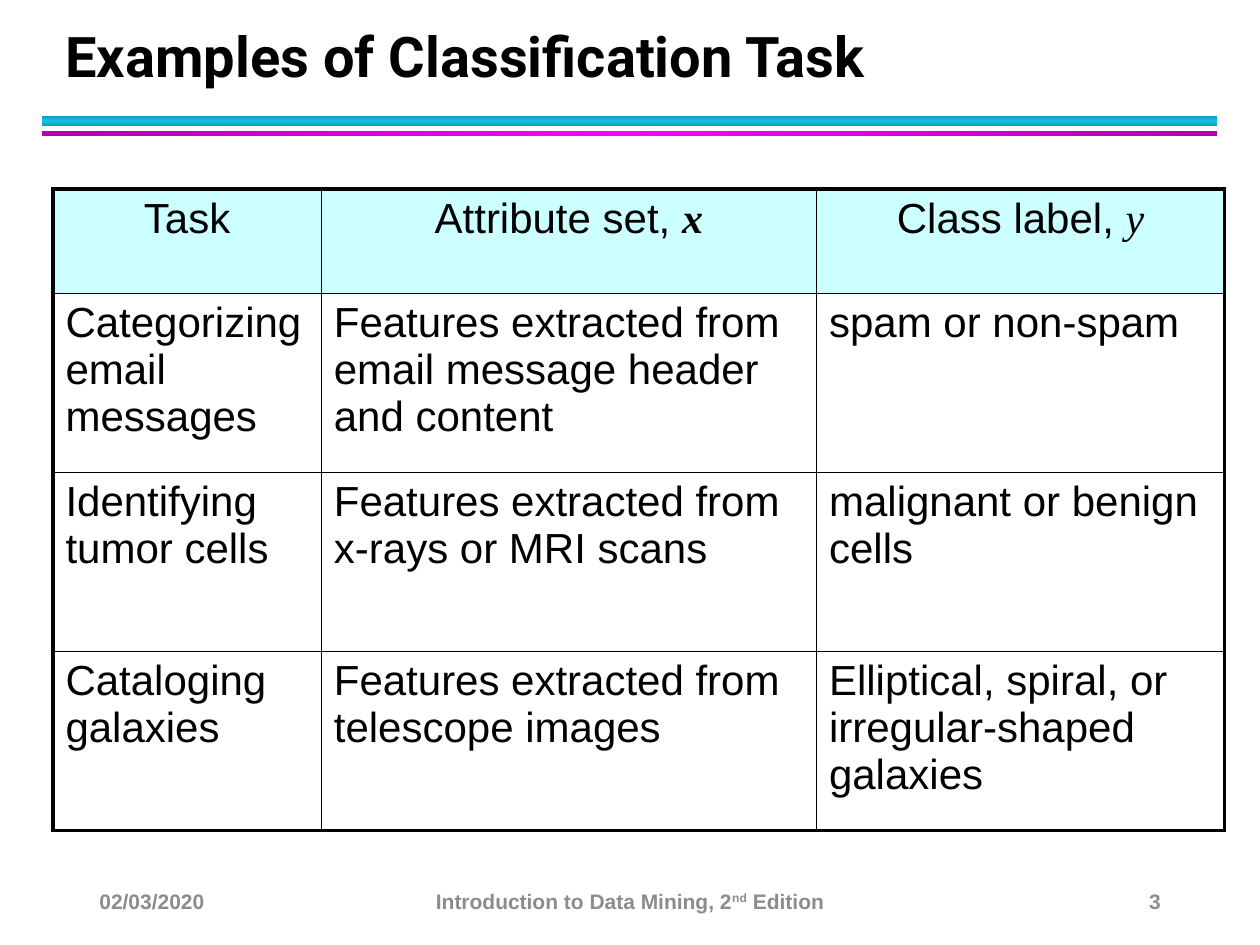
from copy import deepcopy
from dataclasses import dataclass
from lxml import etree
from pptx import Presentation
from pptx import util as u
from pptx.dml.color import RGBColor
from pptx.enum import shapes, text
from pptx.oxml.ns import qn


@dataclass(frozen=True)
class Theme:
    black: str = "000000"
    grey: str = "8C8C8C"
    header: str = "CCFFFF"
    cell: str = "FFFFFF"
    heading_font: str = "Roboto"
    body_font: str = "Arial"
    math_font: str = "Times New Roman"
    title_size: float = 32
    table_size: float = 24
    footer_size: float = 12
    outer_line: float = 2.25
    inner_line: float = 1


THEME = Theme()


@dataclass(frozen=True)
class Run:
    text: str
    font: str = THEME.body_font
    bold: bool = False
    italic: bool = False
    superscript: bool = False


@dataclass(frozen=True)
class Box:
    left: float
    top: float
    width: float
    height: float

    def inches(self) -> tuple:
        return tuple(u.Inches(v) for v in (self.left, self.top, self.width, self.height))


@dataclass(frozen=True)
class Rule:
    box: Box
    edge: str
    middle: str
    angle: int


@dataclass(frozen=True)
class Label:
    box: Box
    runs: tuple
    size: float
    color: str
    align: text.PP_ALIGN = text.PP_ALIGN.LEFT
    anchor: text.MSO_ANCHOR = text.MSO_ANCHOR.MIDDLE
    line_spacing: float = 0


LEFT, CENTER, RIGHT = text.PP_ALIGN.LEFT, text.PP_ALIGN.CENTER, text.PP_ALIGN.RIGHT

RULES = [
    Rule(Box(0.33, 0.92, 9.33, 0.08), "0E9BBA", "12C2E9", 90),
    Rule(Box(0.33, 1.04, 9.33, 0.04), "B200B2", "FF00FF", 0),
]


def footer(left: float, width: float, align: text.PP_ALIGN, *runs: Run) -> Label:
    return Label(Box(left, 6.95, width, 0.4), runs, THEME.footer_size, THEME.grey, align)


LABELS = [
    Label(Box(0.42, 0.17, 9.06, 0.58),
          (Run("Examples of Classification Task", THEME.heading_font, bold=True),),
          THEME.title_size, THEME.black, anchor=text.MSO_ANCHOR.BOTTOM, line_spacing=36),
    footer(0.69, 2.25, LEFT, Run("02/03/2020", bold=True)),
    footer(3.31, 3.38, CENTER, Run("Introduction to Data Mining, 2", bold=True),
           Run("nd", bold=True, superscript=True), Run(" Edition", bold=True)),
    footer(7.06, 2.25, RIGHT, Run("3", bold=True)),
]

TABLE_BOX = Box(0.42, 1.5, 9.3, 5.09)
COLUMN_WIDTHS = [2.13, 3.93, 3.24]
ROW_HEIGHTS = [0.83, 1.42, 1.42, 1.42]
HEADER = [
    (Run("Task"),),
    (Run("Attribute set, "), Run("x", THEME.math_font, bold=True, italic=True)),
    (Run("Class label, "), Run("y", THEME.math_font, italic=True)),
]
BODY = [
    ("Categorizing email messages",
     "Features extracted from email message header and content",
     "spam or non-spam"),
    ("Identifying tumor cells",
     "Features extracted from x-rays or MRI scans",
     "malignant or benign cells"),
    ("Cataloging galaxies",
     "Features extracted from telescope images",
     "Elliptical, spiral, or irregular-shaped galaxies"),
]


def add_runs(p, runs: tuple, size: float, color: str) -> None:
    for run in runs:
        r = p.add_run()
        r.text = run.text
        r.font.name = run.font
        r.font.size = u.Pt(size)
        r.font.bold = run.bold
        r.font.italic = run.italic
        r.font.color.rgb = RGBColor.from_string(color)
        if run.superscript:
            r.font._element.set("baseline", "30000")


def add_rule(slide, rule: Rule) -> None:
    """Draw a bar whose gradient runs from edge to middle and back."""
    sp = slide.shapes.add_shape(shapes.MSO_SHAPE.RECTANGLE, *rule.box.inches())
    sp.shadow.inherit = False
    sp.line.fill.background()
    sp.fill.gradient()
    sp.fill.gradient_angle = rule.angle
    stops = sp._element.spPr.find(qn("a:gradFill")).find(qn("a:gsLst"))
    stops.insert(1, deepcopy(stops[0]))
    colors = (rule.edge, rule.middle, rule.edge)
    for stop, color, position in zip(sp.fill.gradient_stops, colors, (0, 0.5, 1)):
        stop.color.rgb = RGBColor.from_string(color)
        stop.position = position


def add_label(slide, label: Label) -> None:
    tf = slide.shapes.add_textbox(*label.box.inches()).text_frame
    tf.word_wrap = True
    tf.vertical_anchor = label.anchor
    p = tf.paragraphs[0]
    p.alignment = label.align
    if label.line_spacing:
        p.line_spacing = u.Pt(label.line_spacing)
    add_runs(p, label.runs, label.size, label.color)


def set_borders(cell, widths: dict) -> None:
    """Set line widths in points, keyed by side; lines must precede the fill."""
    tc_pr = cell._tc.get_or_add_tcPr()
    for index, side in enumerate("LRTB"):
        ln = etree.Element(qn(f"a:ln{side}"), w=str(u.Pt(widths[side])))
        fill = etree.SubElement(ln, qn("a:solidFill"))
        etree.SubElement(fill, qn("a:srgbClr"), val=THEME.black)
        tc_pr.insert(index, ln)


def add_task_table(slide) -> None:
    rows = HEADER, *[[(Run(words),) for words in row] for row in BODY]
    last_row, last_col = len(rows) - 1, len(HEADER) - 1
    table = slide.shapes.add_table(len(rows), len(HEADER), *TABLE_BOX.inches()).table
    table.first_row = table.horz_banding = False
    for column, width in zip(table.columns, COLUMN_WIDTHS):
        column.width = u.Inches(width)
    for row, height in zip(table.rows, ROW_HEIGHTS):
        row.height = u.Inches(height)
    for i, row in enumerate(rows):
        for j, runs in enumerate(row):
            cell = table.cell(i, j)
            cell.fill.solid()
            cell.fill.fore_color.rgb = RGBColor.from_string(THEME.cell if i else THEME.header)
            outer = {"L": j == 0, "R": j == last_col, "T": i == 0, "B": i == last_row}
            set_borders(cell, {side: THEME.outer_line if edge else THEME.inner_line
                               for side, edge in outer.items()})
            p = cell.text_frame.paragraphs[0]
            p.alignment = LEFT if i else CENTER
            p.space_before = u.Pt(THEME.table_size * 0.1)
            p.space_after = u.Pt(4)
            add_runs(p, runs, THEME.table_size, THEME.black)


def main() -> None:
    prs = Presentation()
    prs.slide_width, prs.slide_height = u.Inches(10), u.Inches(7.5)
    slide = prs.slides.add_slide(prs.slide_layouts[6])
    for rule in RULES:
        add_rule(slide, rule)
    add_task_table(slide)
    for label in LABELS:
        add_label(slide, label)
    prs.save("out.pptx")


if __name__ == "__main__":
    main()
